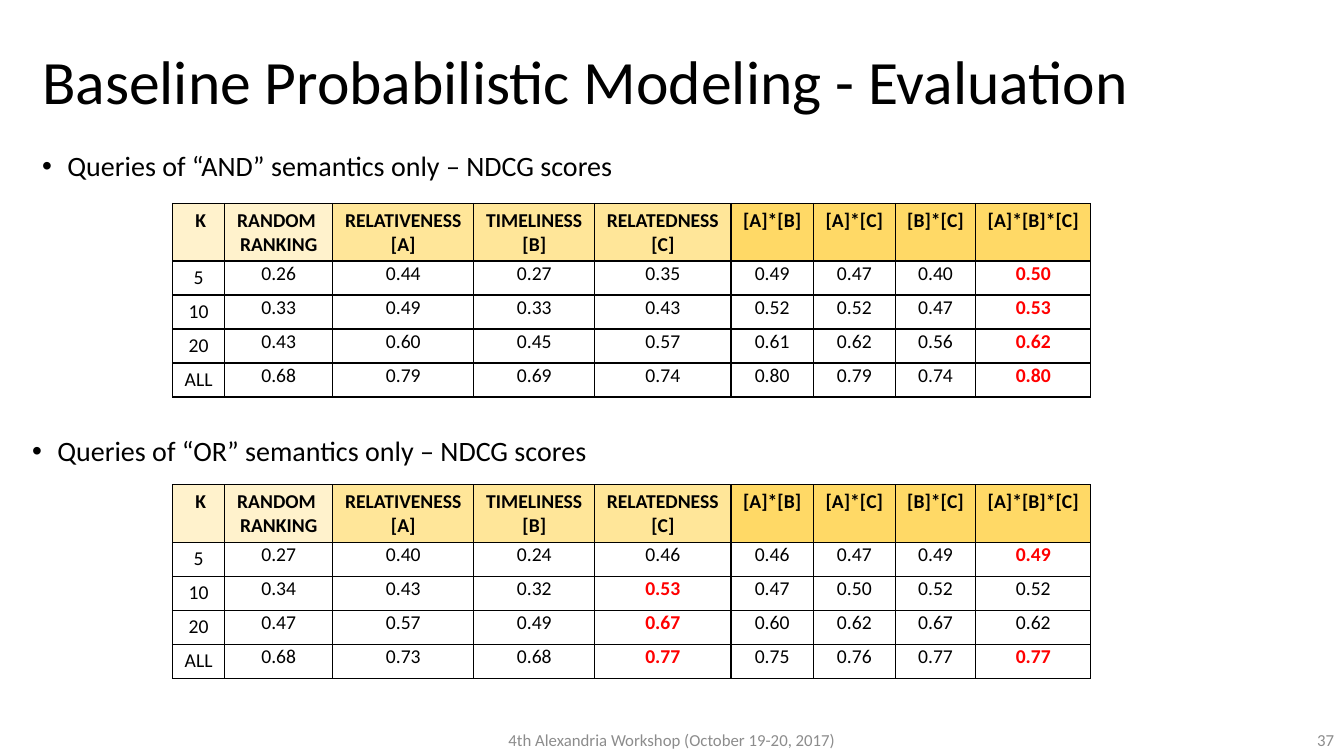
from dataclasses import dataclass

from lxml import etree
from pptx import Presentation
from pptx.dml.color import RGBColor
from pptx.enum.text import MSO_ANCHOR, PP_ALIGN
from pptx.oxml.ns import qn
from pptx.util import Inches, Pt

LEFT, CENTER, RIGHT = PP_ALIGN.LEFT, PP_ALIGN.CENTER, PP_ALIGN.RIGHT
TOP, MIDDLE, BOTTOM = MSO_ANCHOR.TOP, MSO_ANCHOR.MIDDLE, MSO_ANCHOR.BOTTOM

SLIDE_WIDTH, SLIDE_HEIGHT = Inches(13.33), Inches(7.5)
FONT = "Calibri"
COLORS = {
    "ink": "000000",
    "best": "FF0000",
    "footer": "8C8C8C",
    "paper": "FFFFFF",
    "baseline": "FFF2CC",
    "single": "FFE699",
    "combined": "FFD966",
}


@dataclass(frozen=True)
class Area:
    left: float
    top: float
    width: float
    height: float


@dataclass(frozen=True)
class Column:
    heading: str
    width: float
    color: str


@dataclass(frozen=True)
class Evaluation:
    caption: str
    caption_area: Area
    table_top: float
    scores: tuple[str, ...]


COLUMNS = (
    Column("\u00a0K".replace("\u00a0", chr(160)), 3.9, "baseline"),
    Column("RANDOM \nRANKING", 8.03, "baseline"),
    Column("RELATIVENESS [A]", 10.5, "single"),
    Column("TIMELINESS\v[B]", 9, "single"),
    Column("RELATEDNESS\v[C]", 10.13, "single"),
    Column("[A]*[B]", 6.15, "combined"),
    Column("[A]*[C]", 6.08, "combined"),
    Column("[B]*[C]", 6, "combined"),
    Column("[A]*[B]*[C]", 8.55, "combined"),
)
TABLE_LEFT, HEADING_HEIGHT, SCORE_HEIGHT = 12.83, 7.6, 4.5

EVALUATIONS = (
    Evaluation(
        "Queries of “AND” semantics only – NDCG scores",
        Area(2.4, 19.47, 95.12, 12.53),
        26.93,
        (
            "5 0.26 0.44 0.27 0.35 0.49 0.47 0.40 0.50*",
            "10 0.33 0.49 0.33 0.43 0.52 0.52 0.47 0.53*",
            "20 0.43 0.60 0.45 0.57 0.61 0.62 0.56 0.62*",
            "ALL 0.68 0.79 0.69 0.74 0.80 0.79 0.74 0.80*",
        ),
    ),
    Evaluation(
        "Queries of “OR” semantics only – NDCG scores",
        Area(1.65, 57.2, 95.12, 8.67),
        64.13,
        (
            "5 0.27 0.40 0.24 0.46 0.46 0.47 0.49 0.49*",
            "10 0.34 0.43 0.32 0.53* 0.47 0.50 0.52 0.52",
            "20 0.47 0.57 0.49 0.67* 0.60 0.62 0.67 0.62",
            "ALL 0.68 0.73 0.68 0.77* 0.75 0.76 0.77 0.77*",
        ),
    ),
)


def across(percent: float) -> int:
    return round(SLIDE_WIDTH * percent / 100)


def down(percent: float) -> int:
    return round(SLIDE_HEIGHT * percent / 100)


def write(frame, text: str, *, size: float, color: str = "ink", bold: bool = False,
          align=LEFT, spacing: float = 1, before: float = 0, bullet: bool = False) -> None:
    frame.text = text
    for paragraph in frame.paragraphs:
        paragraph.alignment = align
        paragraph.line_spacing = spacing
        paragraph.space_before = Pt(before)
        if bullet:
            properties = paragraph._p.get_or_add_pPr()
            properties.set("marL", str(Inches(0.25)))
            properties.set("indent", str(-Inches(0.25)))
            etree.SubElement(properties, qn("a:buFont"), typeface="Arial")
            etree.SubElement(properties, qn("a:buChar"), char="•")
        for run in paragraph.runs:
            run.font.name = FONT
            run.font.size = Pt(size)
            run.font.bold = bold
            run.font.color.rgb = RGBColor.from_string(COLORS[color])


def add_text(slide, area: Area, text: str, *, anchor=TOP, **text_format) -> None:
    frame = slide.shapes.add_textbox(
        across(area.left), down(area.top), across(area.width), down(area.height)
    ).text_frame
    frame.word_wrap = True
    frame.vertical_anchor = anchor
    write(frame, text, **text_format)


def paint_cell(cell, color: str) -> None:
    cell.fill.solid()
    cell.fill.fore_color.rgb = RGBColor.from_string(COLORS[color])
    properties = cell._tc.get_or_add_tcPr()
    for position, side in enumerate(("lnL", "lnR", "lnT", "lnB")):
        border = etree.Element(qn(f"a:{side}"), w=str(Pt(1)))
        line_fill = etree.SubElement(border, qn("a:solidFill"))
        etree.SubElement(line_fill, qn("a:srgbClr"), val=COLORS["ink"])
        properties.insert(position, border)


def add_scores(slide, evaluation: Evaluation) -> None:
    score_count = len(evaluation.scores)
    scores = slide.shapes.add_table(
        score_count + 1, len(COLUMNS), across(TABLE_LEFT), down(evaluation.table_top),
        across(sum(column.width for column in COLUMNS)),
        down(HEADING_HEIGHT + score_count * SCORE_HEIGHT),
    ).table
    scores.first_row = scores.horz_banding = False
    for index, row in enumerate(scores.rows):
        row.height = down(SCORE_HEIGHT if index else HEADING_HEIGHT)
    for index, column in enumerate(COLUMNS):
        scores.columns[index].width = across(column.width)
        heading = scores.cell(0, index)
        write(heading.text_frame, column.heading, size=14, bold=True, align=CENTER)
        paint_cell(heading, column.color)
    for row_index, line in enumerate(evaluation.scores, 1):
        for column_index, score in enumerate(line.split()):
            cell = scores.cell(row_index, column_index)
            if column_index:
                cell.margin_left = cell.margin_right = cell.margin_top = Inches(0.01)
                cell.margin_bottom = 0
            best = score.endswith("*")
            write(cell.text_frame, score.rstrip("*"), size=14, align=CENTER,
                  bold=best, color="best" if best else "ink")
            paint_cell(cell, "paper")


def main() -> None:
    presentation = Presentation()
    presentation.slide_width, presentation.slide_height = SLIDE_WIDTH, SLIDE_HEIGHT
    slide = presentation.slides.add_slide(presentation.slide_layouts[6])
    add_text(slide, Area(2.4, 1.47, 95.12, 19.33),
             "Baseline Probabilistic Modeling - Evaluation",
             anchor=MIDDLE, size=44, spacing=0.9)
    for evaluation in EVALUATIONS:
        add_text(slide, evaluation.caption_area, evaluation.caption,
                 size=20, spacing=0.9, before=10, bullet=True)
        add_scores(slide, evaluation)
    add_text(slide, Area(0, 94.53, 100, 5.33),
             "4th Alexandria Workshop (October 19-20, 2017)",
             anchor=BOTTOM, size=12, color="footer", align=CENTER)
    add_text(slide, Area(96.77, 94.53, 3.23, 5.33), "37",
             anchor=BOTTOM, size=12, color="footer", align=RIGHT)
    presentation.save("out.pptx")


if __name__ == "__main__":
    main()
